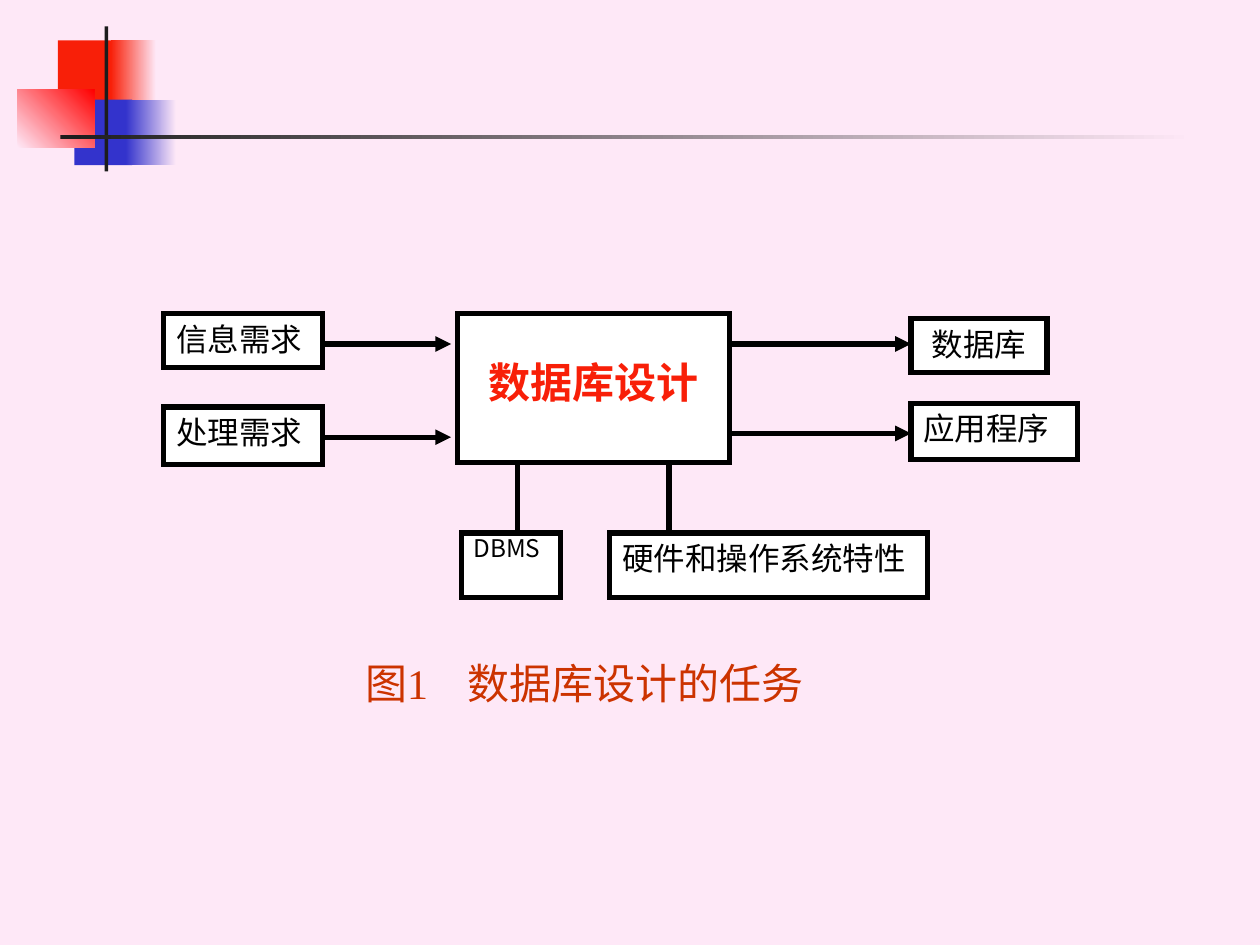
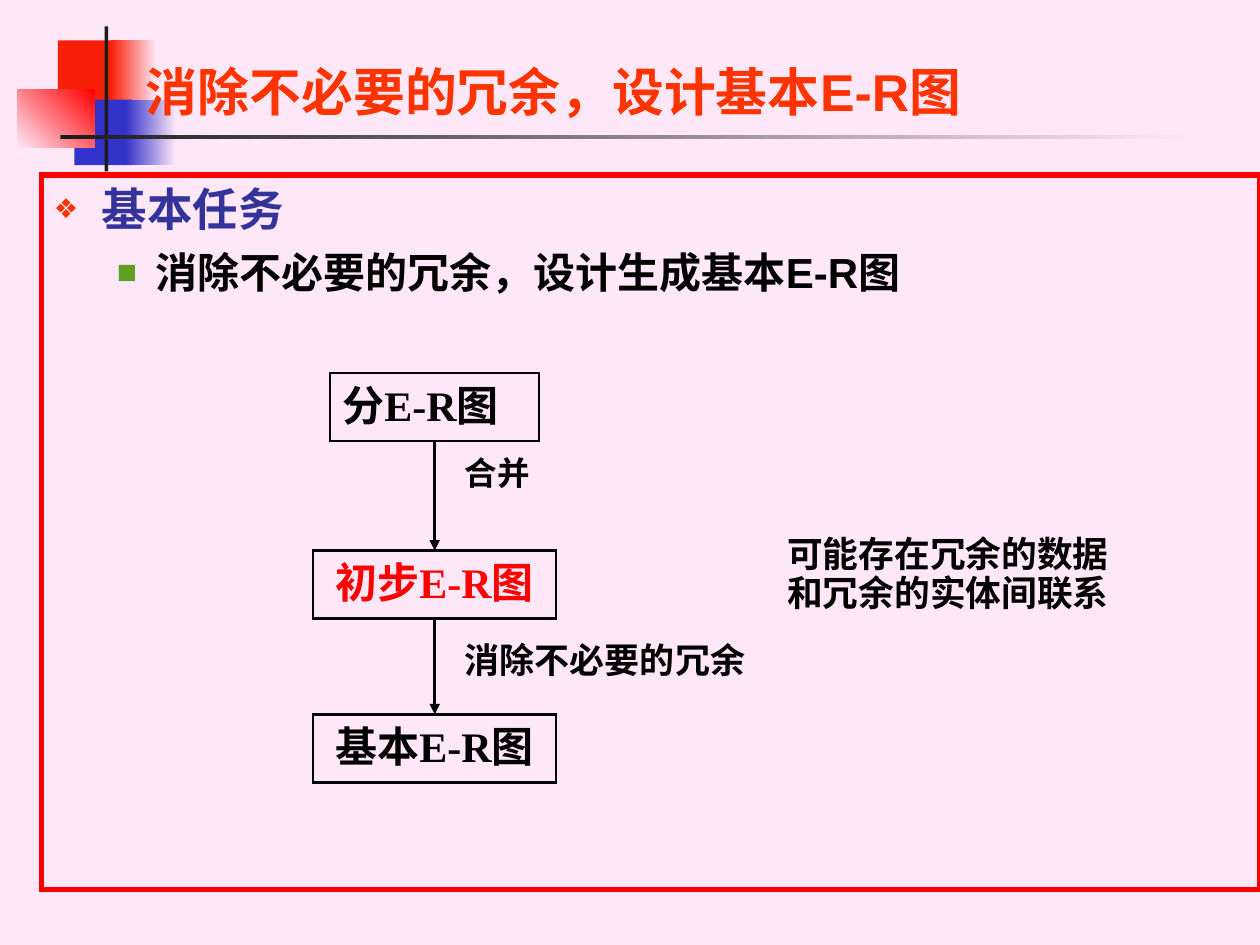
from lxml import etree
from pptx import Presentation
from pptx.dml.color import RGBColor
from pptx.enum.shapes import MSO_CONNECTOR, MSO_SHAPE
from pptx.enum.text import MSO_ANCHOR, PP_ALIGN
from pptx.oxml.ns import qn
from pptx.util import Inches, Pt

RECT = MSO_SHAPE.RECTANGLE
STRAIGHT = MSO_CONNECTOR.STRAIGHT
TOP, MIDDLE = MSO_ANCHOR.TOP, MSO_ANCHOR.MIDDLE
LEFT, CENTER = PP_ALIGN.LEFT, PP_ALIGN.CENTER
rgb = RGBColor.from_string

PINK, RED, BRIGHT, BLUE, DARK = "FEE8F7", "F81F08", "FF0000", "3333CC", "1C1C1C"
BLACK, WHITE, ORANGE = "000000", "FFFFFF", "FF3300"
CJK, SERIF, SANS = "Noto Sans CJK SC", "Times New Roman", "Arial"


def add_box(s, at, paras, fill=None, line=None, anchor=TOP, top=0.05, side=0.1):
    """Add a box; line is (colour, points), each paragraph is (text, format)."""
    at = [Inches(v) for v in at]
    if fill or line:
        sp = s.shapes.add_shape(RECT, *at)
        sp.shadow.inherit = False
    else:
        sp = s.shapes.add_textbox(*at)
    if fill:
        sp.fill.solid()
        sp.fill.fore_color.rgb = rgb(fill)
    else:
        sp.fill.background()
    if line:
        sp.line.color.rgb = rgb(line[0])
        sp.line.width = Pt(line[1])
        etree.SubElement(sp.line._get_or_add_ln(), qn("a:miter"), lim="800000")
    else:
        sp.line.fill.background()
    tf = sp.text_frame
    tf.word_wrap = True
    tf.vertical_anchor = anchor
    tf.margin_top = Inches(top)
    tf.margin_left = tf.margin_right = Inches(side)
    for i, (text, fmt) in enumerate(paras):
        p = tf.paragraphs[0] if i == 0 else tf.add_paragraph()
        p.alignment = fmt.get("align", LEFT)
        for name in ("level", "line_spacing", "space_before"):
            if name in fmt:
                setattr(p, name, fmt[name])
        pPr = p._p.get_or_add_pPr()
        if "tab" in fmt:
            tabs = etree.SubElement(pPr, qn("a:tabLst"))
            etree.SubElement(tabs, qn("a:tab"), pos=str(Inches(fmt["tab"])), algn="l")
        if "bullet" in fmt:
            char, color, percent, margin, hang = fmt["bullet"]
            pPr.set("marL", str(Inches(margin)))
            pPr.set("indent", str(-Inches(hang)))
            clr = etree.SubElement(pPr, qn("a:buClr"))
            etree.SubElement(clr, qn("a:srgbClr"), val=color)
            etree.SubElement(pPr, qn("a:buSzPct"), val=str(percent * 1000))
            etree.SubElement(pPr, qn("a:buFont"), typeface=SANS)
            etree.SubElement(pPr, qn("a:buChar"), char=char)
        r = p.add_run()
        r.text = text
        font = {"name": fmt["font"], "size": Pt(fmt["size"]), "bold": fmt.get("bold", False)}
        for name, value in font.items():
            setattr(r.font, name, value)
        r.font.color.rgb = rgb(fmt.get("color", BLACK))
        etree.SubElement(r._r.get_or_add_rPr(), qn("a:ea"), typeface=CJK)
    return sp


def add_arrow(s, x1, y1, x2, y2, width):
    c = s.shapes.add_connector(STRAIGHT, Inches(x1), Inches(y1), Inches(x2), Inches(y2))
    c.line.color.rgb = rgb(BLACK)
    c.line.width = Pt(width)
    etree.SubElement(c.line._get_or_add_ln(), qn("a:tailEnd"), type="triangle")
    etree.SubElement(c._element.spPr, qn("a:effectLst"))


prs = Presentation()
prs.slide_width, prs.slide_height = Inches(10), Inches(7.5)

# Shared background and corner ornament: place, start colour, end colour, angle
ornament = [
    ((0.46, 0.32, 0.48, 0.52), RED, None, 0),
    ((0.88, 0.32, 0.36, 0.52), RED, PINK, 0),
    ((0.59, 0.79, 0.46, 0.52), BLUE, None, 0),
    ((1, 0.79, 0.4, 0.52), BLUE, PINK, 0),
    ((0.14, 0.71, 0.61, 0.46), PINK, BRIGHT, 45),
    ((0.83, 0.21, 0.03, 1.15), DARK, None, 0),
    ((0.48, 1.07, 9, 0.03), DARK, PINK, 0),
]
for _ in range(2):
    s = prs.slides.add_slide(prs.slide_layouts[6])
    s.background.fill.solid()
    s.background.fill.fore_color.rgb = rgb(PINK)
    for at, start, end, angle in ornament:
        sp = add_box(s, at, [], fill=start)
        if end:
            sp.fill.gradient()
            sp.fill.gradient_angle = angle
            for stop, color, pos in zip(sp.fill.gradient_stops, (start, end), (0, 1)):
                stop.color.rgb = rgb(color)
                stop.position = pos
task_slide, er_slide = prs.slides

# Slide 1: inputs, design, outputs and platform
s = task_slide
frame = (BLACK, 3)
label = {"font": CJK, "size": 18}
heading = {"font": CJK, "size": 24, "color": RED, "bold": True, "align": CENTER}
add_box(s, (3.63, 2.49, 2.16, 1.18), [("数据库设计", heading)], WHITE, frame, top=0.34)
for x in (4.11, 5.31):
    add_arrow(s, x, 3.67, x, 4.47, 3)
for x1, x2, y in [(5.79, 7.23, 2.73), (5.79, 7.23, 3.44), (2.56, 3.58, 2.73), (2.56, 3.58, 3.47)]:
    add_arrow(s, x1, y, x2, y, 3)
for text, at, extra in [
    ("信息需求", (1.3, 2.49, 1.26, 0.43), {}),
    ("处理需求", (1.3, 3.23, 1.26, 0.46), {}),
    ("数据库", (7.23, 2.53, 1.08, 0.43), {"align": CENTER}),
    ("应用程序", (7.23, 3.2, 1.32, 0.45), {}),
    ("DBMS", (3.66, 4.23, 0.79, 0.51), {"size": 13.9, "line_spacing": 0.8}),
    ("硬件和操作系统特性", (4.84, 4.23, 2.52, 0.51), {}),
]:
    add_box(s, at, [(text, {**label, **extra})], WHITE, frame)
caption = {"font": SERIF, "size": 24, "color": "CC3300", "tab": 0.81}
add_box(s, (2.8, 5.17, 4.08, 0.6), [("图1\t数据库设计的任务", caption)])

# Slide 2: title and framed bullets
s = er_slide
title = {"font": SANS, "size": 29.6, "color": ORANGE, "bold": True, "line_spacing": 0.9}
add_box(s, (1.06, 0.44, 8.08, 0.62), [("消除不必要的冗余，设计基本E-R图", title)], anchor=MIDDLE)
topic = {"font": SANS, "size": 26, "color": "333399", "bold": True,
         "bullet": ("❖", ORANGE, 60, 0.38, 0.38)}
detail = {"font": SANS, "size": 24, "bold": True, "level": 1, "space_before": Pt(6),
          "bullet": ("■", "5F9F25", 80, 0.81, 0.31)}
add_box(s, (0.33, 1.39, 9.67, 5.67),
        [("基本任务", topic), ("消除不必要的冗余，设计生成基本E-R图", detail)], line=(BRIGHT, 3))

# Steps from partial to basic diagram, centred on one axis
axis, height = 3.45, 0.54
step = {"font": SERIF, "size": 24, "bold": True}
for text, y, width, side, extra in [
    ("分E-R图", 2.96, 1.66, 0.1, {}),
    ("初步E-R图", 4.37, 1.93, 0.02, {"color": BRIGHT, "align": CENTER}),
    ("基本E-R图", 5.67, 1.93, 0.02, {"align": CENTER}),
]:
    add_box(s, (axis - width / 2, y, width, height), [(text, {**step, **extra})],
            line=(BLACK, 1.5), side=side)
for y1, y2 in [(2.96, 4.37), (4.37, 5.67)]:
    add_arrow(s, axis, y1 + height, axis, y2, 1.5)

# Step labels and side note
merge = {**step, "size": 18.6, "line_spacing": 0.8}
remove = {**step, "size": 20}
note = {**step, "size": 20.4, "line_spacing": 0.9}
add_box(s, (3.59, 3.61, 1.24, 0.43), [("合并", merge)])
add_box(s, (3.59, 5.02, 3.03, 0.54), [("消除不必要的冗余", remove)])
add_box(s, (6.15, 4.21, 3.25, 0.83), [("可能存在冗余的数据", note), ("和冗余的实体间联系", note)])

prs.save("out.pptx")
